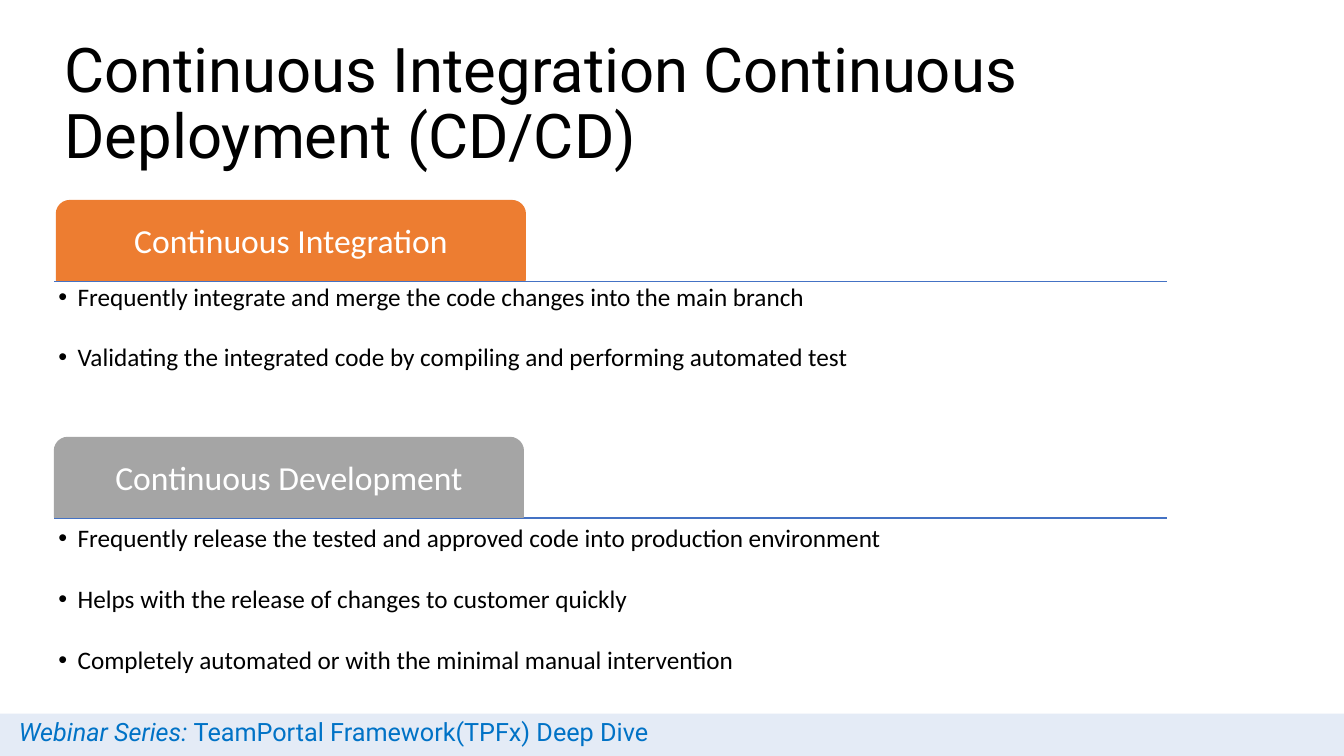
import dataclasses

import lxml.etree
import pptx
import pptx.dml.color
import pptx.enum.shapes
import pptx.enum.text
import pptx.oxml.ns
import pptx.util

Inches = pptx.util.Inches
Pt = pptx.util.Pt
Align = pptx.enum.text.PP_ALIGN
Anchor = pptx.enum.text.MSO_ANCHOR
Shape = pptx.enum.shapes.MSO_SHAPE
qn = pptx.oxml.ns.qn


@dataclasses.dataclass(frozen=True)
class Theme:
    """Colours, fonts and type sizes of the deck."""
    black: str = "000000"
    white: str = "FFFFFF"
    blue: str = "4472C4"
    orange: str = "ED7D31"
    gray: str = "A5A5A5"
    footer_text: str = "0072C6"
    heading_font: str = "Roboto"
    body_font: str = "Calibri"
    title_size: int = 44
    tab_size: int = 24
    body_size: int = 18
    line_spacing: float = 0.9
    bullet_gap: int = 24


THEME = Theme()


@dataclasses.dataclass(frozen=True)
class Box:
    """A rectangle in inches."""
    left: float
    top: float
    width: float
    height: float

    def lengths(self):
        """Return the four sides as slide lengths."""
        return [Inches(side) for side in dataclasses.astuple(self)]


def rgb(code):
    """Turn a hex code into a colour."""
    return pptx.dml.color.RGBColor.from_string(code)


def style_runs(para, font, size, color):
    """Format every run of a paragraph."""
    for run in para.runs:
        run.font.name = font
        run.font.size = Pt(size)
        run.font.color.rgb = rgb(color)


def set_frame(frame, inset, anchor):
    """Set wrapping, equal insets and vertical anchor of a text frame."""
    frame.word_wrap = True
    frame.auto_size = pptx.enum.text.MSO_AUTO_SIZE.NONE
    frame.margin_left = frame.margin_right = Inches(inset)
    frame.margin_top = frame.margin_bottom = Inches(inset)
    frame.vertical_anchor = anchor


def add_bullet(para):
    """Give a paragraph a hanging round bullet."""
    properties = para._p.get_or_add_pPr()
    properties.set("marL", str(Inches(0.19)))
    properties.set("indent", str(-Inches(0.19)))
    lxml.etree.SubElement(properties, qn("a:buFont")).set("typeface", "Arial")
    lxml.etree.SubElement(properties, qn("a:buChar")).set("char", "•")


def add_title(page, box, text):
    """Place and format the title placeholder."""
    title = page.shapes.title
    title.left, title.top, title.width, title.height = box.lengths()
    frame = title.text_frame
    frame.text = text
    set_frame(frame, 0.1, Anchor.MIDDLE)
    para = frame.paragraphs[0]
    para.alignment = Align.LEFT
    para.line_spacing = THEME.line_spacing
    style_runs(para, THEME.heading_font, THEME.title_size, THEME.black)


def add_rule(page, left, right, height):
    """Draw a thin horizontal rule."""
    rule = page.shapes.add_connector(
        pptx.enum.shapes.MSO_CONNECTOR.STRAIGHT,
        Inches(left), Inches(height), Inches(right), Inches(height))
    rule.line.color.rgb = rgb(THEME.blue)
    rule.line.width = Pt(1)
    lxml.etree.SubElement(rule._element.spPr, qn("a:effectLst"))


def add_tab(page, box, label, color):
    """Draw a coloured heading tab with rounded top corners."""
    tab = page.shapes.add_shape(Shape.ROUND_2_SAME_RECTANGLE, *box.lengths())
    tab.shadow.inherit = False
    tab.fill.solid()
    tab.fill.fore_color.rgb = rgb(color)
    tab.line.color.rgb = rgb(color)
    tab.line.width = Pt(1)
    tab.text_frame.text = label
    set_frame(tab.text_frame, 0.05, Anchor.MIDDLE)
    para = tab.text_frame.paragraphs[0]
    para.alignment = Align.CENTER
    para.line_spacing = THEME.line_spacing
    style_runs(para, THEME.body_font, THEME.tab_size, THEME.white)


def add_section(page, box, label, color, bullets, tab_shift=0, body_shift=0):
    """Place a tab, its rule and the bullets below it."""
    rule_top = box.top + 0.8
    add_rule(page, box.left, box.left + box.width, rule_top)
    add_tab(page, Box(box.left + tab_shift, box.top, 4.65, 0.79), label, color)
    body_top = rule_top + body_shift
    body = page.shapes.add_textbox(
        *Box(box.left, body_top, box.width, box.top + box.height - body_top).lengths())
    frame = body.text_frame
    frame.text = "\n".join(bullets)
    set_frame(frame, 0.04, Anchor.TOP)
    for para in frame.paragraphs:
        para.line_spacing = THEME.line_spacing
        para.space_after = Pt(THEME.bullet_gap)
        add_bullet(para)
        style_runs(para, THEME.body_font, THEME.body_size, THEME.black)


def add_footer(page, box, series, topic):
    """Draw the pale footer band with its series line."""
    band = page.shapes.add_shape(Shape.RECTANGLE, *box.lengths())
    band.shadow.inherit = False
    band.fill.solid()
    band.fill.fore_color.rgb = rgb(THEME.blue)
    color = band._element.spPr.find(qn("a:solidFill"))[0]
    lxml.etree.SubElement(color, qn("a:alpha")).set("val", "14000")
    band.line.fill.background()
    caption = page.shapes.add_textbox(
        *Box(box.left + 0.09, box.top - 0.02, 7.14, 0.4).lengths())
    frame = caption.text_frame
    frame.word_wrap = True
    para = frame.paragraphs[0]
    for text, italic in ((series, True), (topic, False)):
        span = para.add_run()
        span.text = text
        span.font.italic = italic
    style_runs(para, THEME.heading_font, THEME.body_size, THEME.footer_text)


def build_deck():
    """Build the one-page deck."""
    deck = pptx.Presentation()
    deck.slide_width, deck.slide_height = Inches(13.33), Inches(7.5)
    page = deck.slides.add_slide(deck.slide_layouts.get_by_name("Title Only"))
    add_footer(page, Box(0, 7.08, 13.33, 0.42),
               "Webinar Series: ", "TeamPortal Framework(TPFx) Deep Dive")
    add_section(page, Box(0.54, 1.99, 11.03, 2.36),
                "Continuous Integration", THEME.orange,
                ["Frequently integrate and merge the code changes into the main branch",
                 "Validating the integrated code by compiling and performing automated test"],
                tab_shift=0.02, body_shift=-0.01)
    add_section(page, Box(0.54, 4.34, 11.03, 2.41),
                "Continuous Development", THEME.gray,
                ["Frequently release the tested and approved code into production environment",
                 "Helps with the release of changes to customer quickly",
                 "Completely automated or with the minimal manual intervention"],
                body_shift=0.04)
    add_title(page, Box(0.54, 0.32, 11.5, 1.45),
              "Continuous Integration Continuous Deployment (CD/CD)")
    return deck


build_deck().save("out.pptx")
